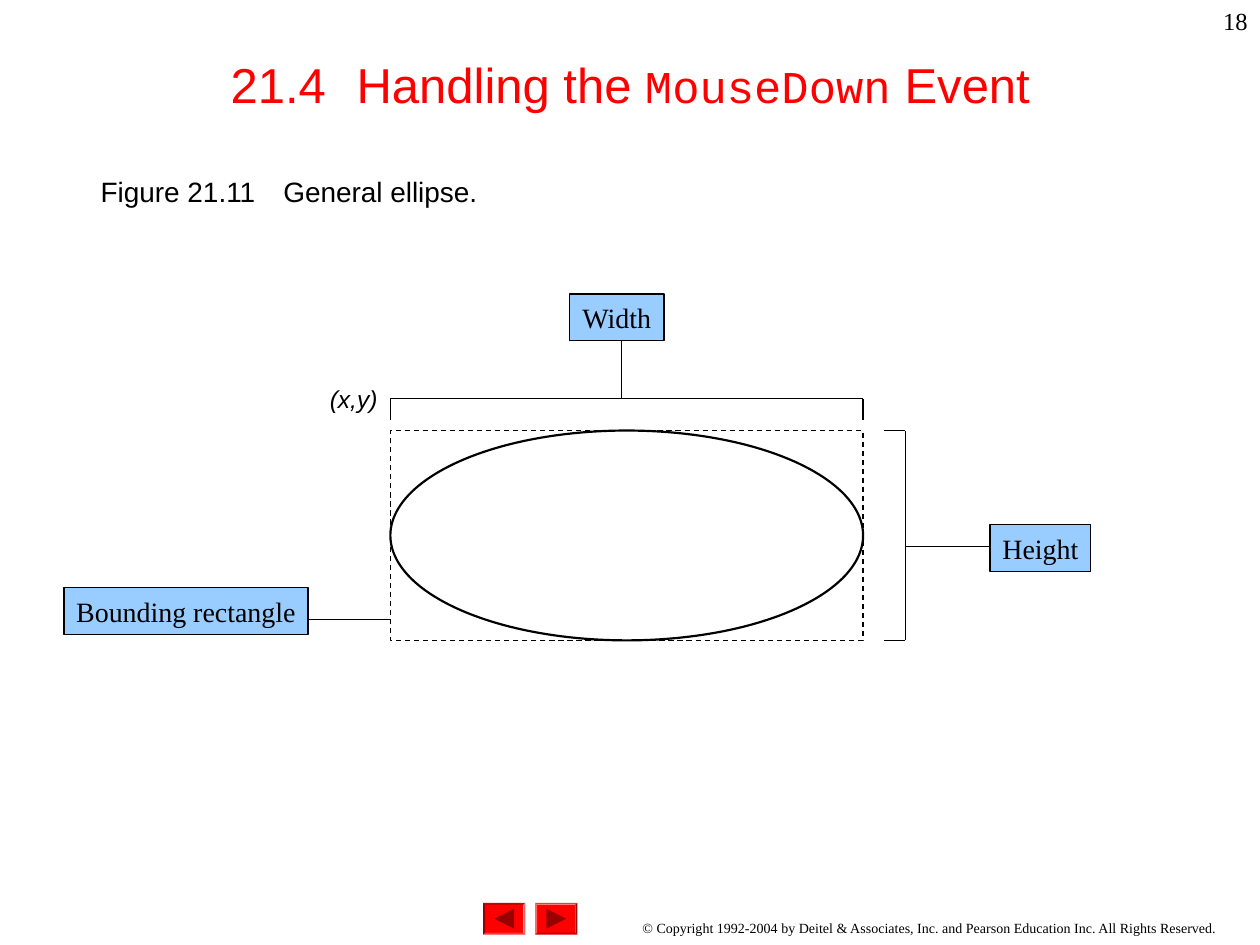
from lxml.etree import SubElement
from pptx import Presentation
from pptx.dml.color import RGBColor
from pptx.enum.dml import MSO_LINE
from pptx.enum.shapes import MSO_CONNECTOR, MSO_SHAPE
from pptx.enum.text import MSO_ANCHOR, PP_ALIGN
from pptx.oxml.ns import qn
from pptx.util import Cm, Pt

BLACK = RGBColor(0x00, 0x00, 0x00)
RED = RGBColor(0xFF, 0x00, 0x00)
DARK_RED = RGBColor(0x99, 0x00, 0x00)
LIGHT_BLUE = RGBColor(0x99, 0xCC, 0xFF)

SANS, MONO, SERIF = "Arial", "Courier New", "Times New Roman"

# Bounding rectangle of the ellipse, in cm
LEFT, TOP, WIDTH, HEIGHT = 7.87, 8.68, 9.53, 4.23
RIGHT, BOTTOM = LEFT + WIDTH, TOP + HEIGHT


def format_run(r, size, font, color=BLACK, italic=False):
    r.font.size = Pt(size)
    r.font.name = font
    r.font.color.rgb = color
    r.font.italic = italic


def add_text(s, box, text, size, font, align=PP_ALIGN.LEFT, wrap=True, italic=False):
    tf = s.shapes.add_textbox(*map(Cm, box)).text_frame
    tf.word_wrap = wrap
    p = tf.paragraphs[0]
    p.text = text
    p.alignment = align
    format_run(p.runs[0], size, font, italic=italic)


def add_title(s):
    tf = s.shapes.add_textbox(Cm(1.91), Cm(0.21), Cm(21.59), Cm(2.96)).text_frame
    tf.word_wrap = True
    tf.vertical_anchor = MSO_ANCHOR.MIDDLE
    p = tf.paragraphs[0]
    p.alignment = PP_ALIGN.CENTER
    tabs = SubElement(p._p.get_or_add_pPr(), qn("a:tabLst"))
    SubElement(tabs, qn("a:tab"), pos=str(Cm(2.54)), algn="l")
    for text, size, font in (
        ("21.4 \tHandling the ", 28, SANS),
        ("MouseDown", 26, MONO),
        (" Event", 28, SANS),
    ):
        r = p.add_run()
        r.text = text
        format_run(r, size, font, RED)


def add_shape(s, kind, box, fill=None, line=None, rotation=0):
    sp = s.shapes.add_shape(kind, *map(Cm, box))
    sp.shadow.inherit = False
    sp.rotation = rotation
    if fill is None:
        sp.fill.background()
    else:
        sp.fill.solid()
        sp.fill.fore_color.rgb = fill
    if line is None:
        sp.line.fill.background()
    else:
        sp.line.color.rgb = BLACK
        sp.line.width = Pt(line)
    return sp


def add_label(s, box, text):
    sp = add_shape(s, MSO_SHAPE.RECTANGLE, box, LIGHT_BLUE, 0.75)
    tf = sp.text_frame
    tf.word_wrap = False
    p = tf.paragraphs[0]
    p.text = text
    p.alignment = PP_ALIGN.CENTER
    format_run(p.runs[0], 16, SERIF)


def add_line(s, x1, y1, x2, y2):
    line = s.shapes.add_connector(MSO_CONNECTOR.STRAIGHT, Cm(x1), Cm(y1), Cm(x2), Cm(y2))
    line.line.color.rgb = BLACK
    line.line.width = Pt(0.75)
    SubElement(line._element.spPr, qn("a:effectLst"))


def add_nav_button(s, x, rotation):
    y, w, h, side = 18.2, 0.85, 0.64, 0.4
    button = add_shape(s, MSO_SHAPE.BEVEL, (x, y, w, h), RED, rotation=rotation)
    button.adjustments[0] = 0.06
    arrow = (x + (w - side) / 2, y + (h - side) / 2, side, side)
    add_shape(s, MSO_SHAPE.ISOSCELES_TRIANGLE, arrow, DARK_RED, rotation=90 + rotation)


def main():
    prs = Presentation()
    prs.slide_width, prs.slide_height = Cm(25.4), Cm(19.05)
    s = prs.slides.add_slide(prs.slide_layouts[6])

    # Footer
    add_nav_button(s, 10.79, 0)
    add_nav_button(s, 9.74, 180)
    add_text(s, (12.7, 18.42, 12.27, 0.64),
             "© Copyright 1992-2004 by Deitel & Associates, Inc. and "
             "Pearson Education Inc. All Rights Reserved.", 8, SERIF)

    # Title and caption
    add_title(s)
    add_text(s, (1.78, 3.39, 8.41, 0.94), "Figure 21.11　General ellipse.",
             16, SANS, wrap=False)

    # Ellipse in its bounding rectangle
    bounds = (LEFT, TOP, WIDTH, HEIGHT)
    add_shape(s, MSO_SHAPE.OVAL, bounds, line=1.25)
    add_shape(s, MSO_SHAPE.RECTANGLE, bounds, line=0.75).line.dash_style = MSO_LINE.DASH
    add_text(s, (6.4, 7.62, 1.91, 0.86), "(x,y)", 14, SANS, italic=True)

    # Width bracket
    bar_y, tick = 8.04, 0.43
    for x in (LEFT, RIGHT):
        add_line(s, x, bar_y, x, bar_y + tick)
    add_line(s, LEFT, bar_y, RIGHT, bar_y)
    add_line(s, 12.53, bar_y, 12.53, 6.56)
    add_label(s, (11.48, 5.93, 1.91, 0.94), "Width")

    # Bounding rectangle pointer
    add_line(s, 6.2, 12.49, LEFT, 12.49)
    add_label(s, (1.29, 11.85, 4.92, 0.94), "Bounding rectangle")

    # Height bracket
    bar_x = 18.25
    for y in (TOP, BOTTOM):
        add_line(s, bar_x - tick, y, bar_x, y)
    add_line(s, bar_x, BOTTOM, bar_x, TOP)
    add_line(s, bar_x, 11.01, 20.78, 11.01)
    add_label(s, (19.96, 10.58, 2.03, 0.94), "Height")

    # Slide number
    add_text(s, (20.11, 0, 5.29, 1.27), "18", 14, SERIF, PP_ALIGN.RIGHT)

    prs.save("out.pptx")


if __name__ == "__main__":
    main()
